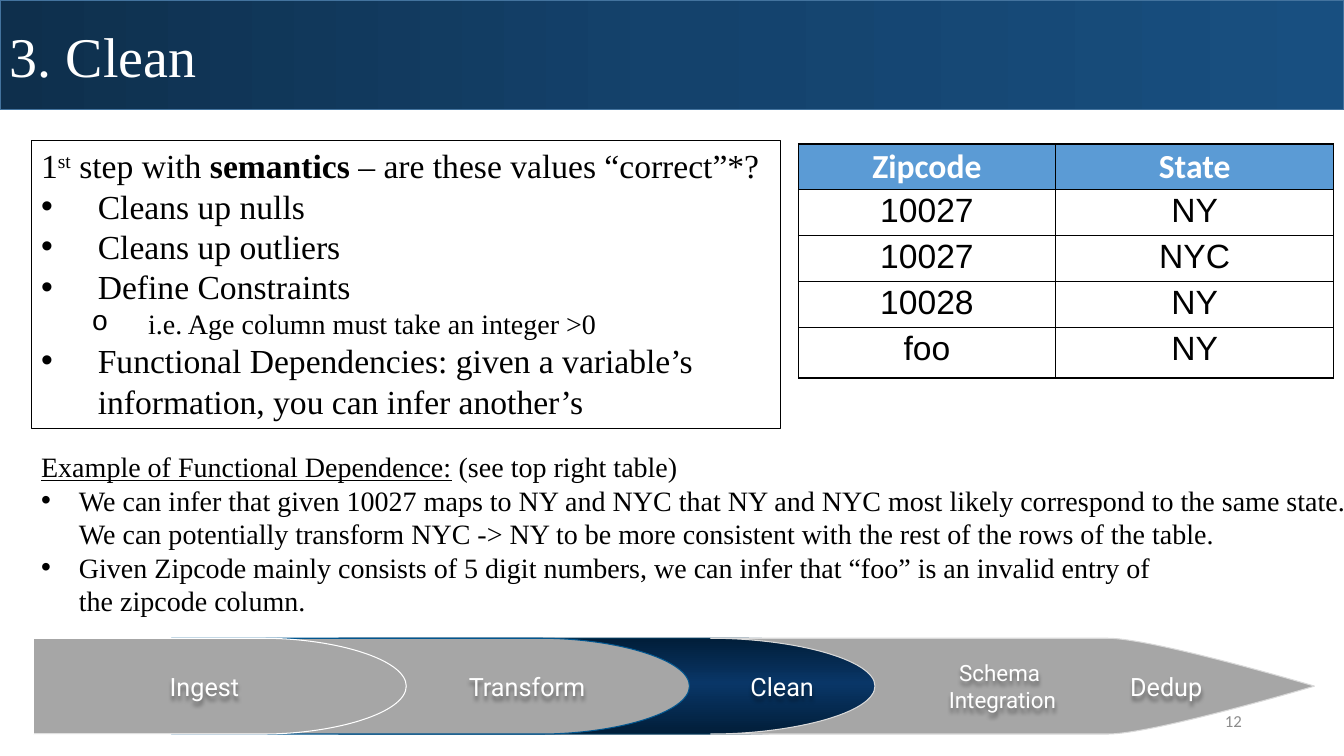
"""Build the "3. Clean" slide about data cleaning."""
from copy import deepcopy
from dataclasses import dataclass

from lxml.etree import SubElement
from pptx import Presentation
from pptx.dml.color import RGBColor
from pptx.enum.shapes import MSO_SHAPE
from pptx.enum.text import MSO_ANCHOR, MSO_AUTO_SIZE, PP_ALIGN
from pptx.oxml.ns import qn
from pptx.util import Pt


@dataclass(frozen=True)
class Theme:
    """Colours, fonts and type sizes of the slide."""
    black: str = "000000"
    white: str = "FFFFFF"
    grey: str = "A6A6A6"
    pale: str = "D9D9D9"
    page: str = "8C8C8C"
    head: str = "5B9BD5"
    blue_edge: str = "01568F"
    clean_edge: str = "013253"
    title_edge: str = "43739E"
    title_fill: tuple = ((0, "0E2F4C"), (0.5, "14426C"), (1, "184F80"))
    clean_fill: tuple = ((0, "011E39"), (0.53, "093667"), (1, "011E39"))
    serif: str = "Times New Roman"
    sans: str = "Arial"
    label: str = "Roboto"
    ui: str = "Calibri"
    title: int = 40
    body: int = 24
    detail: int = 20
    step: int = 18
    small_step: int = 16
    number: int = 12


T = Theme()
BAND_TOP, BAND_MID, BAND_BOTTOM = 455.9, 490.1, 524.3
ROUND = ((0.5, 1), (1, 0.56))
POINTED = ((0.22, 1), (1, 0))


def paint(s, fill=None, line=None, width=0.75, angle=0):
    """Give a shape a solid, gradient or empty fill and an outline."""
    s.shadow.inherit = False
    if fill is None:
        s.fill.background()
    elif isinstance(fill, str):
        s.fill.solid()
        s.fill.fore_color.rgb = RGBColor.from_string(fill)
    else:
        s.fill.gradient()
        s.fill.gradient_angle = angle
        first = s._element.spPr.find(".//" + qn("a:gs"))
        first.addnext(deepcopy(first))
        for stop, (position, color) in zip(s.fill.gradient_stops, fill):
            stop.position = position
            stop.color.rgb = RGBColor.from_string(color)
    s.line.color.rgb = RGBColor.from_string(line)
    s.line.width = Pt(width)


def add_run(p, text, size, font, color, bold=False, underline=False, raised=False):
    """Add one formatted run."""
    r = p.add_run()
    r.text = text
    r.font.size, r.font.name = Pt(size), font
    r.font.color.rgb = RGBColor.from_string(color)
    r.font.bold, r.font.underline = bold, underline
    if raised:
        r.font._element.set("baseline", "30000")


def add_lines(p, text, *style):
    """Add text whose lines are parted by line breaks."""
    for i, line in enumerate(text.split("\n")):
        if i:
            p.add_line_break()
        add_run(p, line, *style)


def add_bullet(p, char, left, hang):
    """Give a paragraph a hanging bullet."""
    pPr = p._p.get_or_add_pPr()
    pPr.set("marL", str(Pt(left)))
    pPr.set("indent", str(-Pt(hang)))
    font = "Courier New" if char == "o" else T.sans
    SubElement(pPr, qn("a:buFont"), typeface=font)
    SubElement(pPr, qn("a:buChar"), char=char)


def add_soft_shadow(s):
    """Put a soft shadow behind the text of an unfilled box."""
    effects = SubElement(s._element.spPr, qn("a:effectLst"))
    shadow = SubElement(effects, qn("a:outerShdw"), blurRad=str(Pt(3)),
                        dist=str(Pt(3)), dir="5400000", algn="t")
    color = SubElement(shadow, qn("a:srgbClr"), val=T.black)
    SubElement(color, qn("a:alpha"), val="40000")


def add_text_box(shapes, x, y, w, h, anchor=MSO_ANCHOR.TOP):
    """Add a wrapping text box."""
    s = shapes.add_textbox(Pt(x), Pt(y), Pt(w), Pt(h))
    s.text_frame.word_wrap, s.text_frame.vertical_anchor = True, anchor
    return s


def add_title(shapes, text):
    """Add the title bar."""
    s = shapes.add_shape(MSO_SHAPE.RECTANGLE, 0, 0, Pt(960), Pt(78.2))
    paint(s, T.title_fill, T.title_edge, 1)
    s.text_frame.vertical_anchor = MSO_ANCHOR.MIDDLE
    p = s.text_frame.paragraphs[0]
    p.alignment = PP_ALIGN.LEFT
    add_run(p, text, T.title, T.serif, T.white)


def add_points(tf, lead, points):
    """Fill a frame with a lead line of runs and a list of bullets."""
    tf.word_wrap, tf.auto_size = True, MSO_AUTO_SIZE.SHAPE_TO_FIT_TEXT
    tf.vertical_anchor = MSO_ANCHOR.TOP
    p = tf.paragraphs[0]
    p.alignment = PP_ALIGN.LEFT
    for text, size, look in lead:
        add_run(p, text, size, T.serif, T.black, **look)
    for text, size, level, char, left, hang in points:
        p = tf.add_paragraph()
        p.alignment, p.level = PP_ALIGN.LEFT, level
        add_bullet(p, char, left, hang)
        add_lines(p, text, size, T.serif, T.black)


def end_curves(shoulder, tip, controls, start, end):
    """Return the Bezier points of an end, from one band edge to the other."""
    def place(control, edge):
        return shoulder + (tip - shoulder) * control[0], BAND_MID + (edge - BAND_MID) * control[1]
    near, far = controls
    return [place(near, start), place(far, start), (tip, BAND_MID),
            place(far, end), place(near, end), (shoulder, end)]


def bend(s):
    """Turn each three line segments of a freeform into one Bezier curve."""
    lines = s._element.findall(".//" + qn("a:lnTo"))
    for triple in zip(lines[::3], lines[1::3], lines[2::3]):
        curve = triple[0].makeelement(qn("a:cubicBezTo"), {})
        triple[0].addprevious(curve)
        for line in triple:
            curve.append(line[0])
            line.getparent().remove(line)


def add_stage(shapes, left, notch, shoulder, tip, controls, fill, line):
    """Add one stage of the process band."""
    points = [(shoulder, BAND_BOTTOM)] * 3
    points += end_curves(shoulder, tip, controls, BAND_BOTTOM, BAND_TOP)
    points += [(left, BAND_TOP)] * 3
    if notch is None:
        points.append((left, BAND_BOTTOM))
    else:
        points += end_curves(left, notch, ROUND, BAND_TOP, BAND_BOTTOM)
    builder = shapes.build_freeform(Pt(left), Pt(BAND_BOTTOM))
    builder.add_line_segments([(Pt(x), Pt(y)) for x, y in points[:-1]], close=False)
    builder.add_line_segments([(Pt(x), Pt(y)) for x, y in points[-1:]], close=True)
    s = builder.convert_to_shape()
    bend(s)
    paint(s, fill, line, angle=90)


def add_label(shapes, text, center, size):
    """Add a centred stage label."""
    s = add_text_box(shapes, center - 157.5, 480.8, 315, 18.7, MSO_ANCHOR.MIDDLE)
    add_soft_shadow(s)
    tf = s.text_frame
    tf.margin_left = tf.margin_right = tf.margin_top = tf.margin_bottom = 0
    tf.paragraphs[0].alignment = PP_ALIGN.CENTER
    add_lines(tf.paragraphs[0], text, size, T.label, T.white)


def style_cell(cell, text, is_head):
    """Fill one table cell with text, borders and colour."""
    cell.margin_left = cell.margin_right = Pt(4.5)
    cell.margin_top = cell.margin_bottom = Pt(1.75)
    tcPr = cell._tc.get_or_add_tcPr()
    for side in ("lnL", "lnR", "lnT", "lnB"):
        ln = SubElement(tcPr, qn("a:" + side), w=str(Pt(1)))
        SubElement(SubElement(ln, qn("a:solidFill")), qn("a:srgbClr"), val=T.black)
    if is_head:
        cell.fill.solid()
        cell.fill.fore_color.rgb = RGBColor.from_string(T.head)
    else:
        cell.fill.background()
    p = cell.text_frame.paragraphs[0]
    p.alignment = PP_ALIGN.CENTER
    font, color = (T.ui, T.white) if is_head else (T.sans, T.black)
    add_run(p, text, T.body, font, color, bold=is_head)


def add_zip_table(shapes, rows):
    """Add the zipcode table."""
    table = shapes.add_table(len(rows), 2, Pt(570.3), Pt(102.8), Pt(382.5), Pt(167.2)).table
    table.horz_banding = False
    for column, width in zip(table.columns, (183.6, 198.9)):
        column.width = Pt(width)
    for i, row in enumerate(rows):
        table.rows[i].height = Pt(36 if i == len(rows) - 1 else 32.8)
        for j, text in enumerate(row):
            style_cell(table.cell(i, j), text, i == 0)


def main():
    """Build and save the slide."""
    prs = Presentation()
    prs.slide_width, prs.slide_height = Pt(960), Pt(540)
    shapes = prs.slides.add_slide(prs.slide_layouts[6]).shapes

    box = shapes.add_shape(MSO_SHAPE.RECTANGLE, Pt(22.3), Pt(100.3), Pt(535), Pt(205.8))
    paint(box, None, T.black)
    lead = [("1", T.body, {}), ("st", T.body, {"raised": True}), (" step with ", T.body, {}),
            ("semantics ", T.body, {"bold": True}),
            ("– are these values “correct”*?", T.body, {})]
    bullet = (T.body, 0, "•", 40.5, 40.5)
    add_points(box.text_frame, lead, [
        *((text, *bullet) for text in ("Cleans up nulls", "Cleans up outliers",
                                       "Define Constraints")),
        ("i.e. Age column must take an integer >0", T.detail, 1, "o", 76.5, 40.5),
        ("Functional Dependencies: given a variable’s information, you can infer another’s",
         *bullet)])

    add_stage(shapes, 241.9, 360, 532.8, 650.2, ROUND, T.clean_fill, T.clean_edge)
    add_stage(shapes, 122.4, 229, 385.9, 492.5, ROUND, T.grey, T.blue_edge)
    add_title(shapes, "3. Clean")
    number = add_text_box(shapes, 678.2, 500.4, 216, 28.8, MSO_ANCHOR.MIDDLE)
    p = number.text_frame.paragraphs[0]
    p.alignment = PP_ALIGN.RIGHT
    add_run(p, "12", T.number, T.ui, T.page)
    add_stage(shapes, 507.6, 625, 791.3, 938.9, POINTED, T.grey, T.pale)
    add_stage(shapes, 23.8, None, 187.9, 290.2, ROUND, T.grey, T.white)
    for text, center, size in (("Ingest", 146, T.step), ("Transform", 376.5, T.step),
                               ("Clean", 558.7, T.step),
                               ("Schema \nIntegration", 716, T.small_step),
                               ("Dedup", 833, T.step)):
        add_label(shapes, text, center, size)

    add_zip_table(shapes, [("Zipcode", "State"), ("10027", "NY"), ("10027", "NYC"),
                           ("10028", "NY"), ("foo", "NY")])
    example = add_text_box(shapes, 22.3, 317.5, 948.2, 152.6)
    lead = [("Example of Functional Dependence:", T.detail, {"underline": True}),
            (" (see top right table)", T.detail, {})]
    bullet = (T.detail, 0, "•", 27, 27)
    add_points(example.text_frame, lead, [
        ("We can infer that given 10027 maps to NY and NYC that NY and NYC most likely "
         "correspond to the same state. We can potentially transform NYC -> NY to be more "
         "consistent with the rest of the rows of the table.", *bullet),
        ("Given Zipcode mainly consists of 5 digit numbers, we can infer that “foo” is an "
         "invalid entry of\nthe zipcode column.", *bullet)])
    prs.save("out.pptx")


if __name__ == "__main__":
    main()
